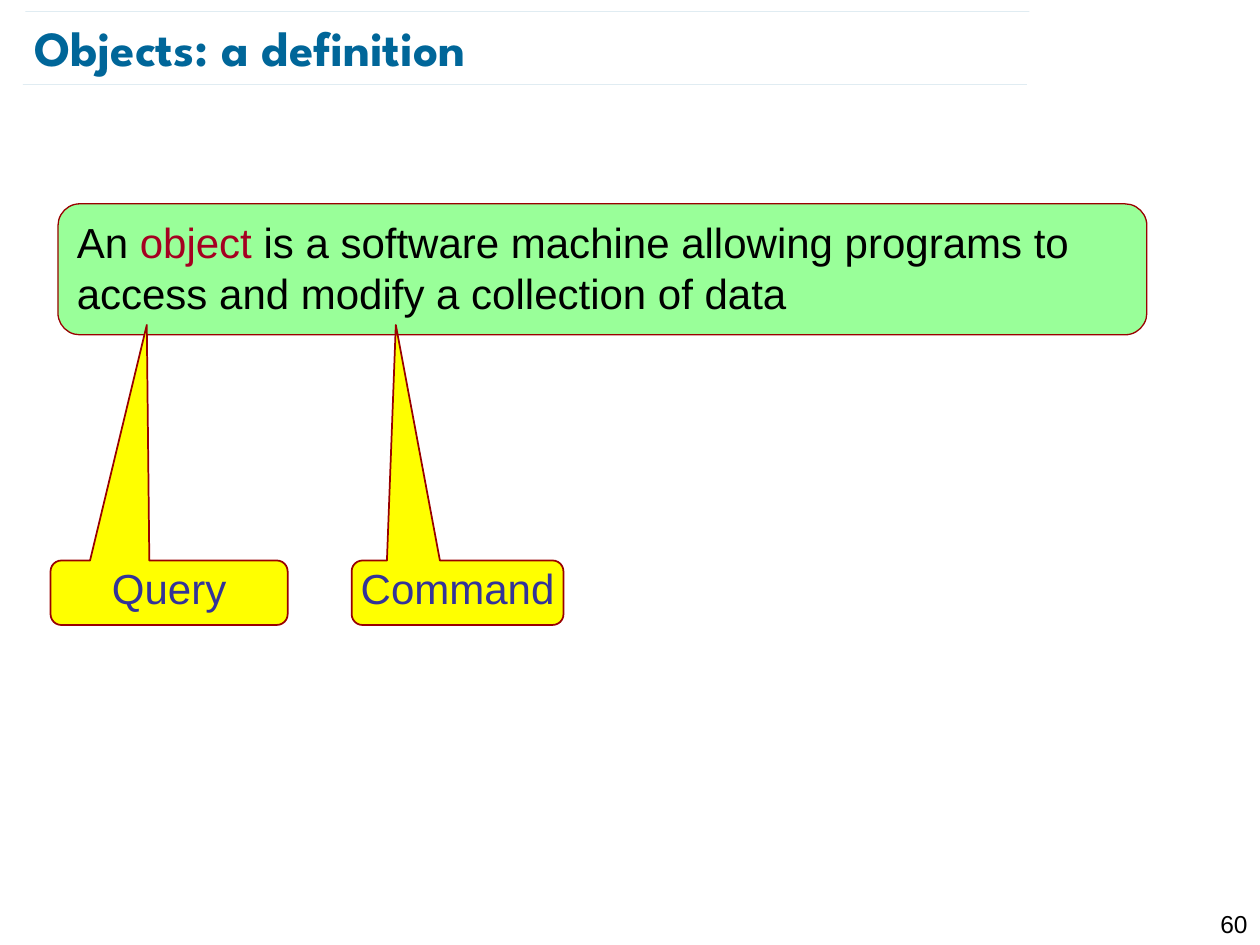
import pptx
import pptx.util
import pptx.dml.color
import pptx.enum.shapes
import pptx.enum.text
import pptx.oxml
import pptx.oxml.ns
from pptx.util import Cm

COLOURS = {
    "title": "006699",
    "text": "000000",
    "keyword": "A50021",
    "outline": "990000",
    "definition": "99FF99",
    "callout": "FFFF00",
    "label": "333399",
}
SHAPES = pptx.enum.shapes.MSO_SHAPE
ALIGN = pptx.enum.text.PP_ALIGN
ANCHOR = pptx.enum.text.MSO_ANCHOR
CORNER = 0.167


def rgb(name):
    return pptx.dml.color.RGBColor.from_string(COLOURS[name])


def write(box, spans, size=24, font="Arial", bold=False, align=ALIGN.LEFT,
          anchor=ANCHOR.TOP, margins=(0.25, 0.13), spacing=None):
    """Fill a box with one paragraph made of (text, colour name) spans."""
    frame = box.text_frame
    frame.word_wrap = True
    frame.vertical_anchor = anchor
    frame.margin_left = frame.margin_right = Cm(margins[0])
    frame.margin_top = frame.margin_bottom = Cm(margins[1])
    para = frame.paragraphs[0]
    para.alignment = align
    if spacing:
        para.line_spacing = spacing
    for text, colour in spans:
        span = para.add_run()
        span.text = text
        span.font.size = pptx.util.Pt(size)
        span.font.name = font
        span.font.bold = bold
        span.font.color.rgb = rgb(colour)


def add_panel(page, kind, left, top, width, height, fill, line_width):
    panel = page.shapes.add_shape(kind, Cm(left), Cm(top), Cm(width), Cm(height))
    panel.shadow.inherit = False
    panel.fill.solid()
    panel.fill.fore_color.rgb = rgb(fill)
    panel.line.color.rgb = rgb("outline")
    panel.line.width = pptx.util.Pt(line_width)
    return panel


def add_rule(page, left, top, width):
    """Draw a hairline that is mostly transparent."""
    rule = page.shapes.add_connector(
        pptx.enum.shapes.MSO_CONNECTOR.STRAIGHT,
        Cm(left), Cm(top), Cm(left + width), Cm(top))
    rule.line.color.rgb = rgb("title")
    rule.line.width = pptx.util.Pt(0.1)
    properties = rule._element.spPr
    colour = properties.find(".//" + pptx.oxml.ns.qn("a:srgbClr"))
    for parent, tag in ((colour, "a:alpha"), (properties, "a:effectLst")):
        parent.append(pptx.oxml.parse_xml(
            f"<{tag} {pptx.oxml.ns.nsdecls('a')}/>"))
    colour[0].set("val", "35000")


def add_header(page, left, top, width, height, title):
    add_rule(page, left, top + height, 20.24)
    add_rule(page, left + 0.05, top, 20.24)
    box = page.shapes.add_textbox(
        Cm(left + 0.23), Cm(top + 0.1), Cm(width), Cm(1.22))
    write(box, [(title, "title")], size=28, font="League Spartan", bold=True,
          anchor=ANCHOR.MIDDLE, margins=(0, 0))


def add_definition(page, left, top, width, height):
    panel = add_panel(page, SHAPES.ROUNDED_RECTANGLE, left, top, width, height,
                      "definition", 0.75)
    panel.adjustments[0] = CORNER
    write(panel, [
        ("An ", "text"),
        ("object", "keyword"),
        (" is a software machine allowing programs to access and modify "
         "a collection of data", "text"),
    ])


def add_callout(page, left, top, width, height, label, tip):
    """Add a labelled callout whose tail ends at the point tip."""
    callout = add_panel(page, SHAPES.ROUNDED_RECTANGULAR_CALLOUT,
                        left, top, width, height, "callout", 1)
    callout.adjustments[0] = (tip[0] - left) / width - 0.5
    callout.adjustments[1] = (tip[1] - top) / height - 0.5
    callout.adjustments[2] = CORNER
    write(callout, [(label, "label")], align=ALIGN.CENTER,
          anchor=ANCHOR.MIDDLE, margins=(0, 0.13), spacing=0.8)


def add_page_number(page, left, top, width, height, number):
    box = page.shapes.add_textbox(Cm(left), Cm(top), Cm(width), Cm(height))
    write(box, [(str(number), "text")], size=14, align=ALIGN.RIGHT)


def main():
    deck = pptx.Presentation()
    deck.slide_width, deck.slide_height = Cm(25.4), Cm(19.05)
    page = deck.slides.add_slide(deck.slide_layouts[6])
    add_page_number(page, 24, 18.19, 1.4, 0.61, 60)
    add_header(page, 0.46, 0.23, 22.56, 1.47, "Objects: a definition")
    add_definition(page, 1.17, 4.11, 21.95, 2.64)
    for label, left, width, tip_left in (("Query", 1.02, 4.78, 2.96),
                                         ("Command", 7.09, 4.27, 7.98)):
        add_callout(page, left, 11.3, width, 1.3, label, (tip_left, 6.55))
    deck.save("out.pptx")


if __name__ == "__main__":
    main()
